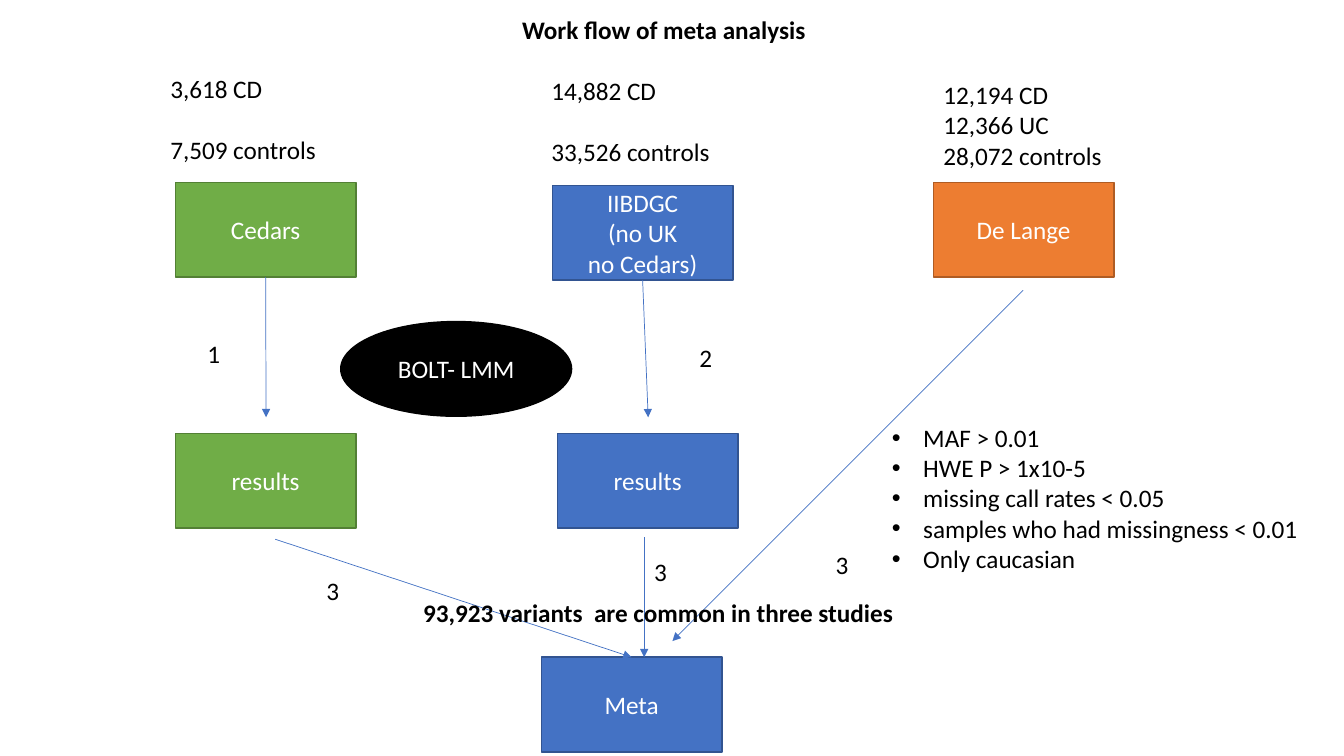
from lxml import etree
from pptx import Presentation
from pptx.dml.color import RGBColor
from pptx.enum.shapes import MSO_CONNECTOR, MSO_SHAPE
from pptx.enum.text import MSO_ANCHOR, PP_ALIGN
from pptx.oxml.ns import qn
from pptx.util import Inches, Pt

RECTANGLE, OVAL = MSO_SHAPE.RECTANGLE, MSO_SHAPE.OVAL
STRAIGHT = MSO_CONNECTOR.STRAIGHT
LEFT, CENTER = PP_ALIGN.LEFT, PP_ALIGN.CENTER
MIDDLE = MSO_ANCHOR.MIDDLE
TOP_SIDE, BOTTOM_SIDE = 0, 2

WIDTH, HEIGHT = Inches(13.33), Inches(7.5)
FONT, FONT_SIZE = "Calibri", 18
BLANK_LINE = 22  # points between the two counts of a study
BLACK, WHITE = "000000", "FFFFFF"
GREEN, BLUE, ORANGE = ("70AD47", "538035"), ("4472C4", "325491"), ("ED7D31", "AF5C24")

# Lengths are percentages of the slide's width and height
BOX_W, BOX_H = 13.43, 12.53
LABEL_W, LINE_H = 3.3, 5.33
COUNTS_H = 13.47
STUDY_TOP, RESULT_TOP, META_TOP = 24.13, 57.33, 86.93
ARROW_END = 55.2


def color(code):
    return RGBColor.from_string(code)


def across(share):
    return round(WIDTH * share / 100)


def down(share):
    return round(HEIGHT * share / 100)


def place(left, top, width, height):
    return across(left), down(top), across(width), down(height)


def add_bullet(para):
    properties = para._p.get_or_add_pPr()
    properties.set("marL", str(Inches(0.31)))
    properties.set("indent", str(-Inches(0.31)))
    etree.SubElement(properties, qn("a:buFont"), typeface="Arial")
    etree.SubElement(properties, qn("a:buChar"), char="•")


def write(frame, lines, ink, align=LEFT, bold=False, gap=0, bullets=False):
    for index, line in enumerate(lines):
        para = frame.add_paragraph() if index else frame.paragraphs[0]
        para.alignment = align
        if index and gap:
            para.space_before = Pt(gap)
        if bullets:
            add_bullet(para)
        span = para.add_run()
        span.text = line
        span.font.name = FONT
        span.font.size = Pt(FONT_SIZE)
        span.font.bold = bold
        span.font.color.rgb = color(ink)


def add_box(page, lines, left, top, colors, kind=RECTANGLE, width=BOX_W):
    fill, outline = colors
    box = page.shapes.add_shape(kind, *place(left, top, width, BOX_H))
    box.shadow.inherit = False
    box.fill.solid()
    box.fill.fore_color.rgb = color(fill)
    box.line.color.rgb = color(outline)
    box.line.width = Pt(1)
    box.text_frame.word_wrap = True
    box.text_frame.vertical_anchor = MIDDLE
    write(box.text_frame, lines, WHITE, CENTER)
    return box


def add_text(page, lines, left, top, width, height=LINE_H, wrap=True, **style):
    box = page.shapes.add_textbox(*place(left, top, width, height))
    box.text_frame.word_wrap = wrap
    write(box.text_frame, lines, BLACK, **style)


def add_arrow(page, start, end, source=None, target=None):
    arrow = page.shapes.add_connector(
        STRAIGHT, across(start[0]), down(start[1]), across(end[0]), down(end[1]))
    if source:
        arrow.begin_connect(source, BOTTOM_SIDE)
    if target:
        arrow.end_connect(target, TOP_SIDE)
    arrow.line.color.rgb = color(BLUE[0])
    arrow.line.width = Pt(0.5)
    etree.SubElement(arrow.line._get_or_add_ln(), qn("a:tailEnd"), type="triangle")
    etree.SubElement(arrow._element.spPr, qn("a:effectLst"))


def main():
    deck = Presentation()
    deck.slide_width, deck.slide_height = WIDTH, HEIGHT
    page = deck.slides.add_slide(deck.slide_layouts[6])

    # Studies, results and the meta analysis
    cedars = add_box(page, ["Cedars"], 13.05, STUDY_TOP, GREEN)
    iibdgc = add_box(page, ["IIBDGC", "(no UK", "no Cedars)"], 41.1, 24.53, BLUE)
    add_box(page, ["De Lange"], 69.45, STUDY_TOP, ORANGE)
    add_box(page, ["results"], 13.05, RESULT_TOP, GREEN)
    add_box(page, ["results"], 41.48, RESULT_TOP, BLUE)
    meta = add_box(page, ["Meta"], 40.28, META_TOP, BLUE)
    add_box(page, ["BOLT- LMM"], 25.35, 42.53, (BLACK, BLACK), OVAL, 17.18)

    # Arrows from studies to results, then to the meta analysis
    add_arrow(page, (19.8, 36.67), (19.8, ARROW_END), source=cedars)
    add_arrow(page, (48.1, 37.07), (48.23, ARROW_END), source=iibdgc)
    add_arrow(page, (76.13, 38.4), (50.03, 84.8))
    add_arrow(page, (20.48, 71.33), (47.0, META_TOP), target=meta)
    add_arrow(page, (47.93, 71.07), (47.93, META_TOP))

    # Sample counts above each study
    for lines, left, top, width, gap in (
        (["3,618 CD", "7,509 controls"], 11.93, 9.07, 12.45, BLANK_LINE),
        (["14,882 CD", "33,526 controls"], 40.28, 9.33, BOX_W, BLANK_LINE),
        (["12,194 CD", "12,366 UC", "28,072 controls"], 69.45, 9.87, BOX_W, 0),
    ):
        add_text(page, lines, left, top, width, COUNTS_H, wrap=False, gap=gap)

    # Step numbers beside the arrows
    for step, left, top in (
        ("1", 14.7, 44.13),
        ("2", 51.3, 44.67),
        ("3", 23.55, 75.47),
        ("3", 47.93, 72.93),
        ("3", 61.43, 72.0),
    ):
        add_text(page, [step], left, top, LABEL_W)

    # Title, variant count and quality filters
    add_text(page, ["Work flow of meta analysis"], 29.33, 1.2, 40.13,
             align=CENTER, bold=True)
    add_text(page, ["93,923 variants  are common in three studies"],
             30.75, 78.4, 36.75, wrap=False, bold=True)
    filters = ["MAF > 0.01", "HWE P > 1x10-5", "missing call rates < 0.05",
               "samples who had missingness < 0.01", "Only caucasian"]
    add_text(page, filters, 65.63, ARROW_END, 34.37, 21.6, bullets=True)

    deck.save("out.pptx")


if __name__ == "__main__":
    main()
